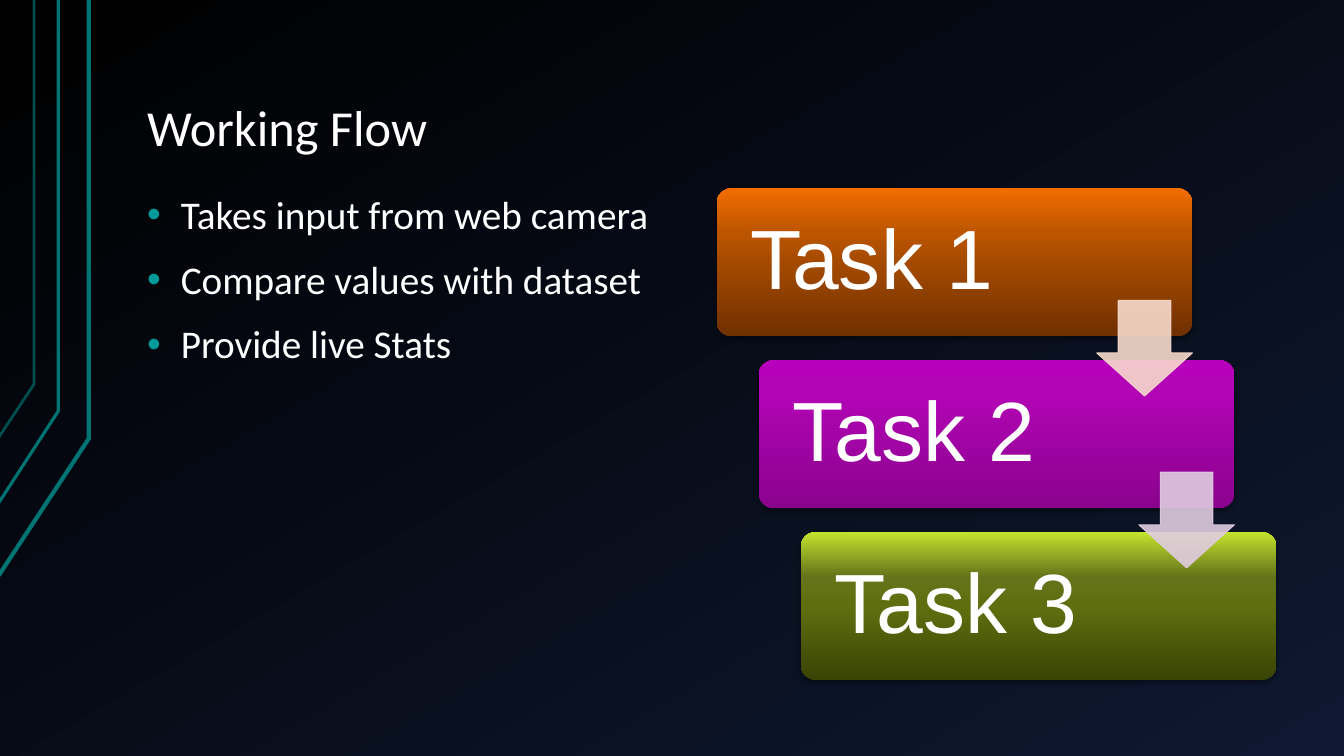
from dataclasses import dataclass

from pptx import Presentation
from pptx import util as u
from pptx.dml.color import RGBColor
from pptx.enum import shapes, text
from pptx.oxml import parse_xml
from pptx.oxml.ns import nsdecls

Cm, Pt = u.Cm, u.Pt
Stops = tuple[tuple[int, str], ...]


@dataclass(frozen=True)
class Theme:
    font: str = "Calibri"
    task_font: str = "Arial"
    title_size: int = 36
    body_size: int = 28
    task_size: int = 60
    ink: str = "FFFFFF"
    bullet: str = "009999"
    background: Stops = ((0, "000000"), (100, "0E1830"))
    orange: Stops = ((0, "703000"), (50, "A44A00"), (70, "BC5500"), (100, "F26D00"))
    purple: Stops = ((0, "8A038D"), (80, "B304B6"), (100, "B700BB"))
    green: Stops = ((0, "394404"), (50, "5F6F0F"), (70, "65741A"), (100, "C4E32D"))
    peach: str = "F7DACC"
    lilac: str = "E0CCE1"
    teal: str = "007373"
    dark_teal: str = "004D4D"


THEME = Theme()


@dataclass(frozen=True)
class Trace:
    """Decorative line from the top edge, bending towards the left edge."""
    x: float
    bend_y: float
    end_y: float
    color: str
    width: float


@dataclass(frozen=True)
class Task:
    label: str
    stops: Stops


TRACES = (
    Trace(2.24, 11.05, 14.5, THEME.teal, 3),
    Trace(1.47, 10.36, 12.67, THEME.teal, 2.25),
    Trace(0.86, 9.68, 11.02, THEME.dark_teal, 2),
)
TASKS = (
    Task("Task 1", THEME.orange),
    Task("Task 2", THEME.purple),
    Task("Task 3", THEME.green),
)
ARROW_COLORS = (THEME.peach, THEME.lilac)
BULLETS = ("Takes input from web camera", "Compare values with dataset", "Provide live Stats")

STEP_X, STEP_Y = 1.06, 4.33
TASK_X, TASK_Y, TASK_W, TASK_H = 18.06, 4.75, 11.99, 3.73
ARROW_X, ARROW_Y, ARROW_SIZE = 27.64, 7.57, 2.41


def rgb(color: str) -> RGBColor:
    return RGBColor.from_string(color)


def set_gradient(solid_fill, stops: Stops, angle: int) -> None:
    """Replace a solid fill element by a linear gradient, angle clockwise."""
    stop_xml = "".join(
        f'<a:gs pos="{pos * 1000}"><a:srgbClr val="{color}"/></a:gs>' for pos, color in stops)
    gradient = parse_xml(
        f'<a:gradFill {nsdecls("a")} rotWithShape="1"><a:gsLst>{stop_xml}</a:gsLst>'
        f'<a:lin ang="{angle * 60000}" scaled="0"/></a:gradFill>')
    solid_fill.getparent().replace(solid_fill, gradient)


def add_shadow(sp) -> None:
    sp._element.spPr.append(parse_xml(
        f'<a:effectLst {nsdecls("a")}><a:outerShdw blurRad="40000" dist="23000" dir="5400000" '
        'rotWithShape="0"><a:srgbClr val="000000"><a:alpha val="35000"/></a:srgbClr>'
        '</a:outerShdw></a:effectLst>'))


def write(p, content: str, *, size: int, font: str = THEME.font, before: int = 0) -> None:
    p.alignment = text.PP_ALIGN.LEFT
    p.line_spacing = 0.9
    p.space_before = Pt(before)
    r = p.add_run()
    r.text = content
    r.font.size, r.font.name = Pt(size), font
    r.font.color.rgb = rgb(THEME.ink)


def set_margins(tf, x: float, y: float) -> None:
    tf.margin_left = tf.margin_right = Cm(x)
    tf.margin_top = tf.margin_bottom = Cm(y)
    tf.word_wrap = True


def add_bullet(p) -> None:
    pPr = p._p.get_or_add_pPr()
    pPr.set("marL", str(Cm(0.85)))
    pPr.set("indent", str(-Cm(0.85)))
    for xml in (f'<a:buClr {nsdecls("a")}><a:srgbClr val="{THEME.bullet}"/></a:buClr>',
                f'<a:buFont {nsdecls("a")} typeface="Arial"/>',
                f'<a:buChar {nsdecls("a")} char="•"/>'):
        pPr.append(parse_xml(xml))


def add_trace(slide, trace: Trace) -> None:
    builder = slide.shapes.build_freeform(Cm(-0.03), Cm(trace.end_y))
    builder.add_line_segments(
        [(Cm(trace.x), Cm(trace.bend_y)), (Cm(trace.x), 0)], close=False)
    sp = builder.convert_to_shape()
    sp.shadow.inherit = False
    sp.fill.background()
    sp.line.color.rgb = rgb(trace.color)
    sp.line.width = Pt(trace.width)


def add_title(slide, content: str) -> None:
    sp = slide.shapes.title
    sp.left, sp.top, sp.width, sp.height = Cm(3.38), Cm(0.76), Cm(28.78), Cm(3.4)
    tf = sp.text_frame
    set_margins(tf, 0.33, 0.18)
    tf.vertical_anchor = text.MSO_ANCHOR.BOTTOM
    write(tf.paragraphs[0], content, size=THEME.title_size)


def add_bullets(slide, items: tuple[str, ...]) -> None:
    tf = slide.shapes.add_textbox(Cm(3.38), Cm(4.75), Cm(14.1), Cm(12.4)).text_frame
    set_margins(tf, 0.33, 0.18)
    for i, item in enumerate(items):
        p = tf.add_paragraph() if i else tf.paragraphs[0]
        add_bullet(p)
        write(p, item, size=THEME.body_size, before=16 if i else 0)


def add_task(slide, task: Task, index: int) -> None:
    sp = slide.shapes.add_shape(
        shapes.MSO_SHAPE.ROUNDED_RECTANGLE, Cm(TASK_X + index * STEP_X),
        Cm(TASK_Y + index * STEP_Y), Cm(TASK_W), Cm(TASK_H))
    sp.adjustments[0] = 0.1
    sp.fill.solid()
    set_gradient(sp._element.spPr.xpath("a:solidFill")[0], task.stops, 270)
    sp.line.fill.background()
    add_shadow(sp)
    tf = sp.text_frame
    set_margins(tf, 0.74, 0.64)
    tf.vertical_anchor = text.MSO_ANCHOR.MIDDLE
    write(tf.paragraphs[0], task.label, size=THEME.task_size, font=THEME.task_font)


def add_arrow(slide, color: str, index: int) -> None:
    sp = slide.shapes.add_shape(
        shapes.MSO_SHAPE.DOWN_ARROW, Cm(ARROW_X + index * STEP_X),
        Cm(ARROW_Y + index * STEP_Y), Cm(ARROW_SIZE), Cm(ARROW_SIZE))
    sp.shadow.inherit = False
    sp.adjustments[0], sp.adjustments[1] = 0.55, 0.45
    sp.fill.solid()
    sp.fill.fore_color.rgb = rgb(color)
    sp.line.color.rgb = rgb(color)
    sp.line.width = Pt(0.75)
    for clr in sp._element.spPr.xpath(".//a:srgbClr"):
        clr.append(parse_xml(f'<a:alpha {nsdecls("a")} val="90000"/>'))


def main() -> None:
    prs = Presentation()
    prs.slide_width, prs.slide_height = Cm(33.87), Cm(19.05)
    slide = prs.slides.add_slide(prs.slide_layouts.get_by_name("Title Only"))
    slide.background.fill.solid()
    set_gradient(slide._element.xpath(".//p:bgPr/a:solidFill")[0], THEME.background, 60)
    for trace in TRACES:
        add_trace(slide, trace)
    add_title(slide, "Working Flow")
    add_bullets(slide, BULLETS)
    for i, task in enumerate(TASKS):
        add_task(slide, task, i)
    for i, color in enumerate(ARROW_COLORS):
        add_arrow(slide, color, i)
    prs.save("out.pptx")


if __name__ == "__main__":
    main()
